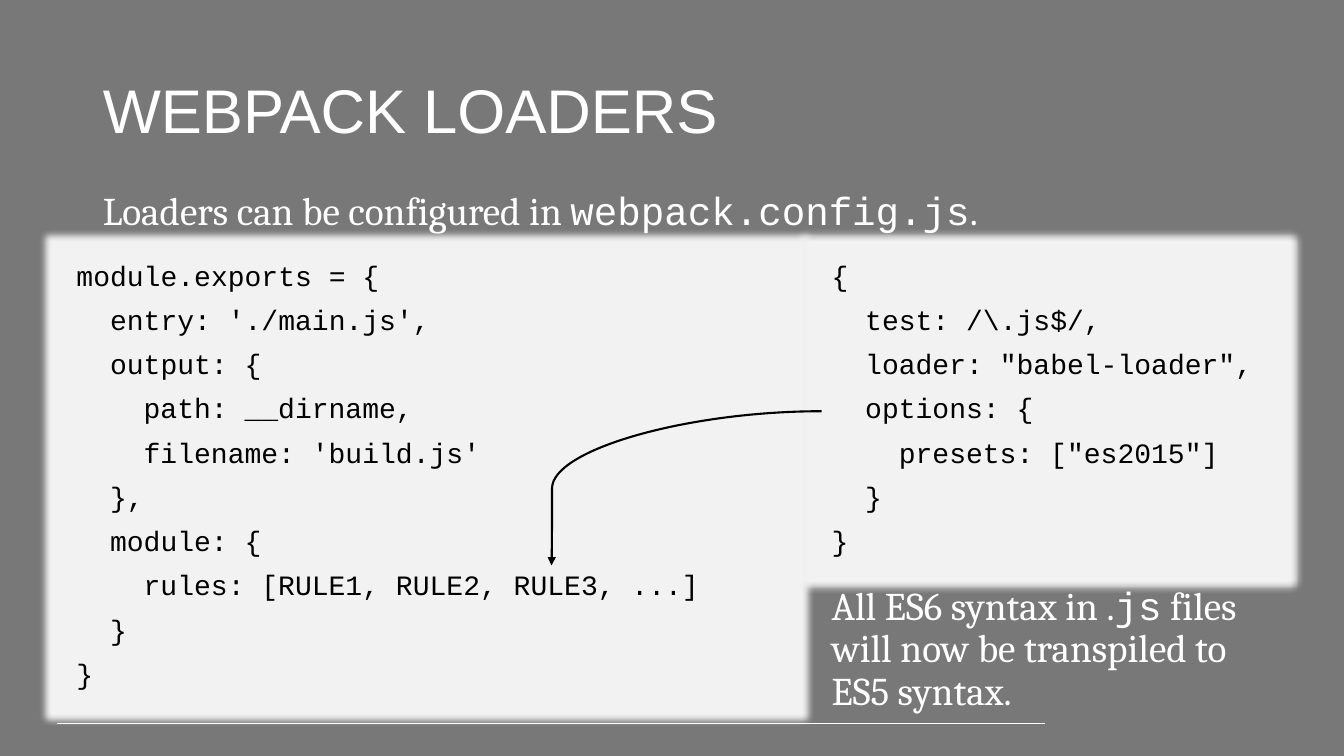
from lxml.etree import SubElement
from pptx import Presentation
from pptx.dml.color import RGBColor
from pptx.enum.shapes import MSO_CONNECTOR as Connector, MSO_SHAPE as Shape
from pptx.enum.text import MSO_ANCHOR as Anchor, MSO_AUTO_SIZE as AutoSize, PP_ALIGN as Align
from pptx.oxml.ns import qn
from pptx.util import Inches, Pt

COLORS = {"background": "787878", "light": "FFFFFF", "panel": "F2F2F2", "code": "000000"}
HEADING, PROSE, CODE = "Arial", "Cambria", "Courier New"
WIDTH, HEIGHT = 13.33, 7.5

# Column and row edges of the layout, in inches
CONFIG_LEFT, TEXT_LEFT, RULE_LEFT = 0.66, 0.92, 8.15
TITLE_TOP, INTRO_TOP, CODE_TOP, RESULT_TOP = 0.4, 1.85, 2.55, 5.77
TEXT_WIDTH = WIDTH - 2 * TEXT_LEFT
CONFIG_SIZE = (7.15, 4.39)
RULE_SIZE = (4.5, 3.06)
CODE_SIZE = 20
CHAR_WIDTH = 0.6 * CODE_SIZE  # points, fixed-pitch font
GLOW_RADIUS = 0.14

CONFIG_CODE = """\
module.exports = {
  entry: './main.js',
  output: {
    path: __dirname,
    filename: 'build.js'
  },
  module: {
    rules: [RULE1, RULE2, RULE3, ...]
  }
}"""
RULE_CODE = r"""{
  test: /\.js$/,
  loader: "babel-loader",
  options: {
    presets: ["es2015"]
  }
}"""


def color(name):
    return RGBColor.from_string(COLORS[name])


def place(shape, left, top, width, height):
    shape.left, shape.top = Inches(left), Inches(top)
    shape.width, shape.height = Inches(width), Inches(height)


def add_run(paragraph, text, font, size, tone):
    run = paragraph.add_run()
    run.text = text
    run.font.name, run.font.size = font, Pt(size)
    run.font.color.rgb = color(tone)


def format_paragraph(paragraph, before=10, indent=0):
    paragraph.alignment = Align.LEFT
    paragraph.line_spacing = 0.9
    paragraph.space_before = Pt(before)
    properties = paragraph._p.get_or_add_pPr()
    properties.set("marL", str(Pt(indent)))
    properties.set("indent", "0")
    SubElement(properties, qn("a:buNone"))


def write_prose(shape, *pieces):
    """Write one paragraph of (text, font) pieces."""
    frame = shape.text_frame
    frame.word_wrap, frame.auto_size = True, AutoSize.NONE
    paragraph = frame.paragraphs[0]
    format_paragraph(paragraph)
    for text, font in pieces:
        add_run(paragraph, text, font, 28, "light")


def add_code_panel(slide, code, left, top, size):
    panel = slide.shapes.add_shape(Shape.RECTANGLE, 0, 0, 0, 0)
    place(panel, left, top, *size)
    panel.fill.solid()
    panel.fill.fore_color.rgb = color("panel")
    panel.line.fill.background()
    panel.shadow.inherit = False
    # Soft edge glow in the panel colour
    effects = panel._element.spPr.find(qn("a:effectLst"))
    glow = SubElement(effects, qn("a:glow"), rad=str(Inches(GLOW_RADIUS)))
    SubElement(glow, qn("a:srgbClr"), val=COLORS["panel"])

    frame = panel.text_frame
    frame.word_wrap, frame.vertical_anchor = True, Anchor.TOP
    for number, line in enumerate(code.splitlines()):
        paragraph = frame.add_paragraph() if number else frame.paragraphs[0]
        statement = line.lstrip()
        format_paragraph(paragraph, indent=(len(line) - len(statement)) * CHAR_WIDTH)
        add_run(paragraph, statement, CODE, CODE_SIZE, "code")


def add_line(slide, kind, start, end, tone, weight):
    line = slide.shapes.add_connector(kind, *map(Inches, start + end))
    line.line.color.rgb = color(tone)
    line.line.width = Pt(weight)
    SubElement(line._element.spPr, qn("a:effectLst"))
    return line


def add_rule_arrow(slide):
    """Curve from the rule panel down to RULE3."""
    middle = CODE_TOP + RULE_SIZE[1] / 2
    arrow = add_line(slide, Connector.CURVE, (RULE_LEFT, middle),
                     (5.47, CODE_TOP + RULE_SIZE[1]), "code", 1.5)
    SubElement(arrow.line._get_or_add_ln(), qn("a:tailEnd"), type="triangle")
    guides = arrow._element.spPr.find(qn("a:prstGeom")).get_or_add_avLst()
    SubElement(guides, qn("a:gd"), name="adj1", fmla="val 99800")


def main():
    deck = Presentation()
    deck.slide_width, deck.slide_height = Inches(WIDTH), Inches(HEIGHT)
    slide = deck.slides.add_slide(deck.slide_layouts[1])
    slide.background.fill.solid()
    slide.background.fill.fore_color.rgb = color("background")

    # Footer rule
    add_line(slide, Connector.STRAIGHT, (0.57, 7.18), (10.36, 7.18), "light", 0.75)

    # Title and introduction
    title, intro = slide.placeholders
    place(title, TEXT_LEFT, TITLE_TOP, TEXT_WIDTH, INTRO_TOP - TITLE_TOP)
    title.text_frame.vertical_anchor = Anchor.MIDDLE
    title.text_frame.auto_size = AutoSize.NONE
    heading = title.text_frame.paragraphs[0]
    format_paragraph(heading, before=0)
    add_run(heading, "WEBPACK LOADERS", HEADING, 44, "light")
    place(intro, TEXT_LEFT, INTRO_TOP, TEXT_WIDTH, 0.54)
    write_prose(intro, ("Loaders can be configured in ", PROSE),
                ("webpack.config.js", CODE), (".", PROSE))

    # Configuration, rule and the link between them
    add_code_panel(slide, CONFIG_CODE, CONFIG_LEFT, CODE_TOP, CONFIG_SIZE)
    add_code_panel(slide, RULE_CODE, RULE_LEFT, CODE_TOP, RULE_SIZE)
    add_rule_arrow(slide)

    # Result
    result = slide.shapes.add_textbox(0, 0, 0, 0)
    place(result, RULE_LEFT, RESULT_TOP, 4.63, 1.37)
    write_prose(result, ("All ES6 syntax in .", PROSE), ("js", CODE),
                (" files will now be transpiled to ES5 syntax.", PROSE))

    deck.save("out.pptx")


main()
